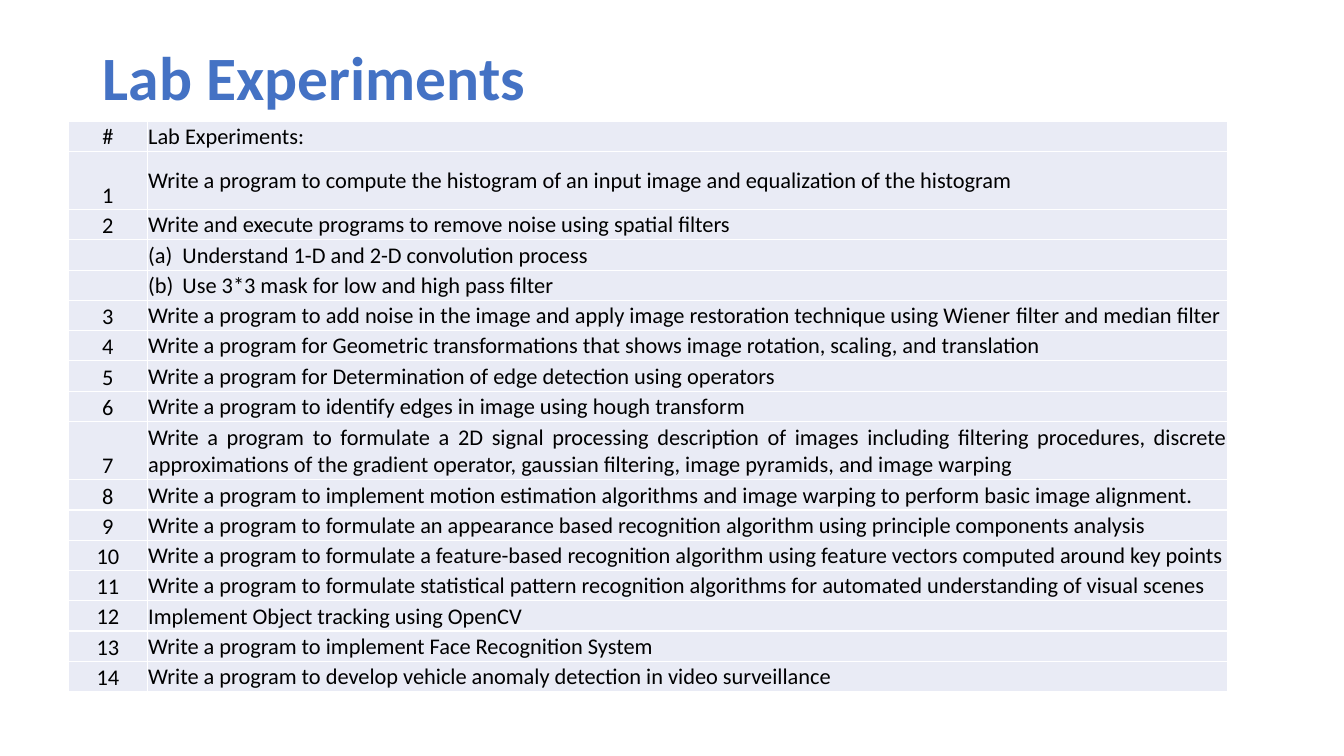
from lxml.etree import SubElement
from pptx import Presentation
from pptx.dml.color import RGBColor
from pptx.enum.text import MSO_ANCHOR, PP_ALIGN
from pptx.oxml.ns import qn
from pptx.util import Inches, Pt

TITLE = "Lab Experiments"
ROWS = [
    ("#", "Lab Experiments:"),
    ("1", "Write a program to compute the histogram of an input image and equalization of the histogram"),
    ("2", "Write and execute programs to remove noise using spatial filters"),
    ("", "(a)\tUnderstand 1-D and 2-D convolution process"),
    ("", "(b)\tUse 3*3 mask for low and high pass filter"),
    ("3", "Write a program to add noise in the image and apply image restoration technique "
          "using Wiener ﬁlter and median filter"),
    ("4", "Write a program for Geometric transformations that shows image rotation, scaling, and translation"),
    ("5", "Write a program for Determination of edge detection using operators"),
    ("6", "Write a program to identify edges in image using hough transform"),
    ("7", "Write a program to formulate a 2D signal processing description of images including "
          "filtering procedures, discrete approximations of the gradient operator, gaussian filtering, "
          "image pyramids, and image warping"),
    ("8", "Write a program to implement motion estimation algorithms and image warping "
          "to perform basic image alignment."),
    ("9", "Write a program to formulate an appearance based recognition algorithm "
          "using principle components analysis"),
    ("10", "Write a program to formulate a feature-based recognition algorithm "
           "using feature vectors computed around key points"),
    ("11", "Write a program to formulate statistical pattern recognition algorithms "
           "for automated understanding of visual scenes"),
    ("12", "Implement Object tracking using OpenCV"),
    ("13", "Write a program to implement Face Recognition System"),
    ("14", "Write a program to develop vehicle anomaly detection in video surveillance"),
]
TALL_ROWS = {"1", "7"}
COLUMN_WIDTHS = (0.78, 10.72)
ROW_HEIGHT, TALL_HEIGHT = 0.3, 0.58
ITEM_TAB = 0.34
FONT = "Calibri"
TEXT_SIZE = 16
COLORS = {"title": "4472C4", "text": "000000", "cell": "E9EBF5", "border": "FFFFFF"}


def add_run(paragraph, text, size, color, bold=False):
    run = paragraph.add_run()
    run.text = text
    run.font.name = FONT
    run.font.size = Pt(size)
    run.font.bold = bold
    run.font.color.rgb = RGBColor.from_string(COLORS[color])


def set_borders(cell):
    properties = cell._tc.get_or_add_tcPr()
    for position, side in enumerate(("a:lnL", "a:lnR", "a:lnT", "a:lnB")):
        line = SubElement(properties, qn(side), w=str(Pt(1)))
        fill = SubElement(line, qn("a:solidFill"))
        SubElement(fill, qn("a:srgbClr"), val=COLORS["border"])
        properties.insert(position, line)


def add_tab_stop(paragraph):
    tabs = SubElement(paragraph._p.get_or_add_pPr(), qn("a:tabLst"))
    SubElement(tabs, qn("a:tab"), pos=str(Inches(ITEM_TAB)), algn="l")


def fill_cell(cell, text, alignment, anchor):
    cell.margin_left = cell.margin_right = cell.margin_top = Inches(0.01)
    cell.margin_bottom = 0
    cell.vertical_anchor = anchor
    cell.fill.solid()
    cell.fill.fore_color.rgb = RGBColor.from_string(COLORS["cell"])
    set_borders(cell)
    paragraph = cell.text_frame.paragraphs[0]
    paragraph.alignment = alignment
    if "\t" in text:
        add_tab_stop(paragraph)
    if text:
        add_run(paragraph, text, TEXT_SIZE, "text")
    else:
        # An empty cell needs a small end mark, or its row grows.
        SubElement(paragraph._p, qn("a:endParaRPr"), sz=str(TEXT_SIZE * 100))


def add_title(slide):
    title = slide.shapes.title
    title.left, title.top = Inches(0.92), Inches(0.4)
    title.width, title.height = Inches(11.5), Inches(0.8)
    title.text_frame.vertical_anchor = MSO_ANCHOR.MIDDLE
    paragraph = title.text_frame.paragraphs[0]
    paragraph.alignment = PP_ALIGN.LEFT
    paragraph.line_spacing = 0.9
    add_run(paragraph, TITLE, 44, "title", bold=True)


def add_experiments(slide):
    heights = [TALL_HEIGHT if number in TALL_ROWS else ROW_HEIGHT for number, _ in ROWS]
    frame = slide.shapes.add_table(
        len(ROWS), len(COLUMN_WIDTHS), Inches(0.68), Inches(1.2),
        Inches(sum(COLUMN_WIDTHS)), Inches(sum(heights)))
    table = frame.table
    table.first_row = table.horz_banding = False
    for column, width in zip(table.columns, COLUMN_WIDTHS):
        column.width = Inches(width)
    for index, (number, experiment) in enumerate(ROWS):
        header = index == 0
        table.rows[index].height = Inches(heights[index])
        fill_cell(table.cell(index, 0), number, PP_ALIGN.CENTER,
                  MSO_ANCHOR.MIDDLE if header else MSO_ANCHOR.BOTTOM)
        fill_cell(table.cell(index, 1), experiment,
                  PP_ALIGN.LEFT if header else PP_ALIGN.JUSTIFY, MSO_ANCHOR.MIDDLE)


def main():
    presentation = Presentation()
    presentation.slide_width = Inches(13.33)
    presentation.slide_height = Inches(7.5)
    slide = presentation.slides.add_slide(presentation.slide_layouts[5])
    add_title(slide)
    add_experiments(slide)
    presentation.save("out.pptx")


if __name__ == "__main__":
    main()
